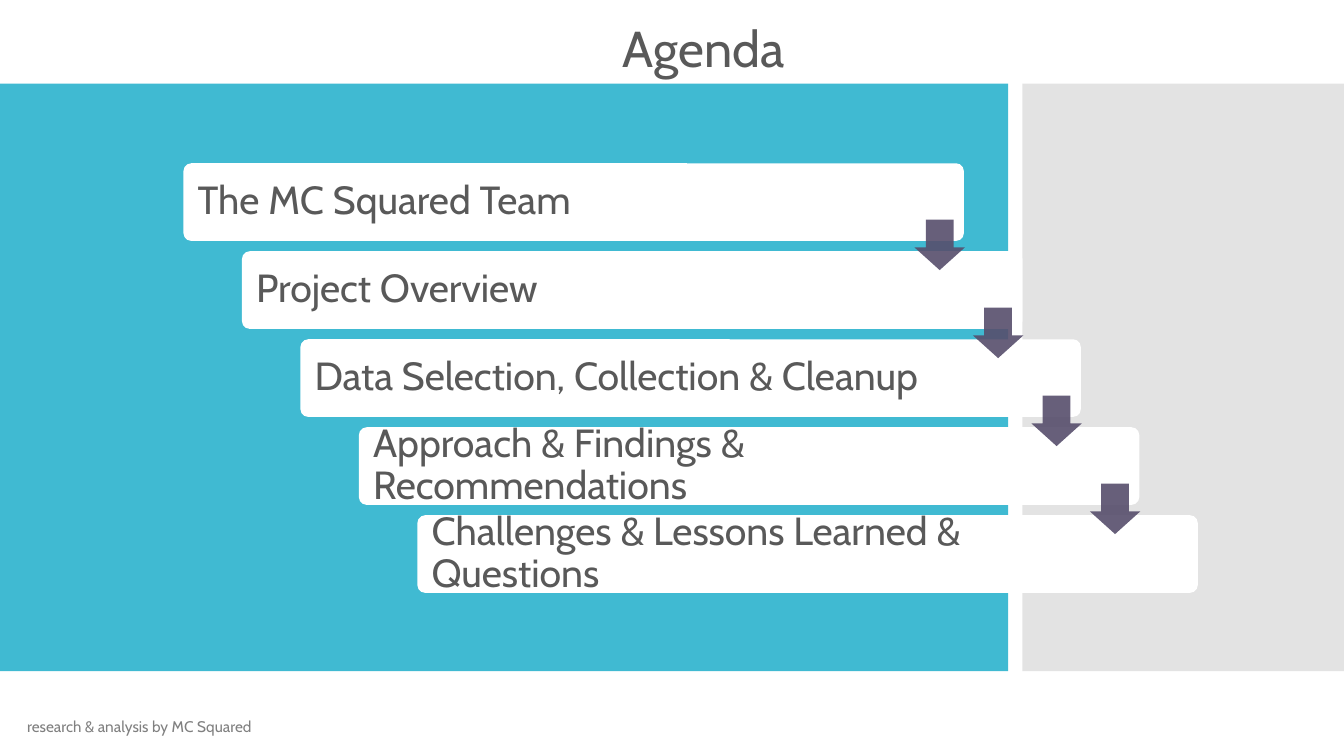
import pptx
import pptx.util
import pptx.dml.color
import pptx.enum.shapes
import pptx.enum.text
import pptx.oxml.ns
import lxml.etree

Inches = pptx.util.Inches
RGBColor = pptx.dml.color.RGBColor
MSO_SHAPE = pptx.enum.shapes.MSO_SHAPE
ANCHOR = pptx.enum.text.MSO_ANCHOR
ALIGN = pptx.enum.text.PP_ALIGN

WHITE = RGBColor(0xFF, 0xFF, 0xFF)
TEAL = RGBColor(0x40, 0xBA, 0xD2)
GREY = RGBColor(0xC8, 0xC8, 0xC8)
PURPLE = RGBColor(0x57, 0x4E, 0x6C)
DARK_TEXT = RGBColor(0x59, 0x59, 0x59)
FOOTER_TEXT = RGBColor(0x80, 0x80, 0x80)

presentation = pptx.Presentation()
presentation.slide_width = Inches(13.33)
presentation.slide_height = Inches(7.5)
slide = presentation.slides.add_slide(presentation.slide_layouts[6])


def add_block(kind, box, color, opacity=100, adjustments=()):
    block = slide.shapes.add_shape(kind, *map(Inches, box))
    block.shadow.inherit = False
    block.line.fill.background()
    block.fill.solid()
    block.fill.fore_color.rgb = color
    for index, value in enumerate(adjustments):
        block.adjustments[index] = value
    if opacity < 100:
        tint = block._element.spPr.find(".//" + pptx.oxml.ns.qn("a:srgbClr"))
        alpha = lxml.etree.SubElement(tint, pptx.oxml.ns.qn("a:alpha"))
        alpha.set("val", str(opacity * 1000))


def add_label(text, box, size, color, frame_format, paragraph_format):
    frame = slide.shapes.add_textbox(*map(Inches, box)).text_frame
    paragraph = frame.paragraphs[0]
    run = paragraph.add_run()
    run.text = text
    run.font.color.rgb = color
    font_format = {"name": "Cabin", "size": pptx.util.Pt(size)}
    for target, values in (
        (frame, {"word_wrap": True, **frame_format}),
        (paragraph, paragraph_format),
        (run.font, font_format),
    ):
        for attribute, value in values.items():
            setattr(target, attribute, value)


# Background panels
add_block(MSO_SHAPE.RECTANGLE, (0, 0.83, 10, 5.83), TEAL)
add_block(MSO_SHAPE.RECTANGLE, (10.14, 0.83, 3.2, 5.83), GREY, opacity=50)

# Staircase of agenda steps
agenda = [
    "The MC Squared Team",
    "Project Overview",
    "Data Selection, Collection & Cleanup",
    "Approach & Findings & Recommendations",
    "Challenges & Lessons Learned & Questions",
]
STEP_X, STEP_Y = 0.58, 0.873
step_frame = {"vertical_anchor": ANCHOR.MIDDLE}
for side in ("left", "top", "right", "bottom"):
    step_frame["margin_" + side] = Inches(0.12)

for number, topic in enumerate(agenda):
    left, top = 1.82 + number * STEP_X, 1.62 + number * STEP_Y
    text_width = 6.82 if number == 0 else 6.62
    add_block(MSO_SHAPE.ROUNDED_RECTANGLE, (left, top, 7.74, 0.77), WHITE,
              adjustments=[0.1])
    add_label(topic, (left + 0.02, top + 0.02, text_width, 0.72), 28,
              DARK_TEXT, step_frame, {"line_spacing": 0.9})

# Arrows leading from each step to the next
for number in range(len(agenda) - 1):
    add_block(MSO_SHAPE.DOWN_ARROW,
              (9.07 + number * STEP_X, 2.18 + number * STEP_Y, 0.5, 0.5),
              PURPLE, opacity=90, adjustments=[0.55, 0.45])

# Title and footer
add_label("Agenda", (3.28, 0.12, 7.4, 0.71), 36, DARK_TEXT,
          {"vertical_anchor": ANCHOR.TOP}, {"alignment": ALIGN.CENTER})
add_label("research & analysis by MC Squared", (0.17, 7.01, 2.44, 0.4), 11,
          FOOTER_TEXT, {"vertical_anchor": ANCHOR.MIDDLE},
          {"alignment": ALIGN.LEFT})

presentation.save("out.pptx")
